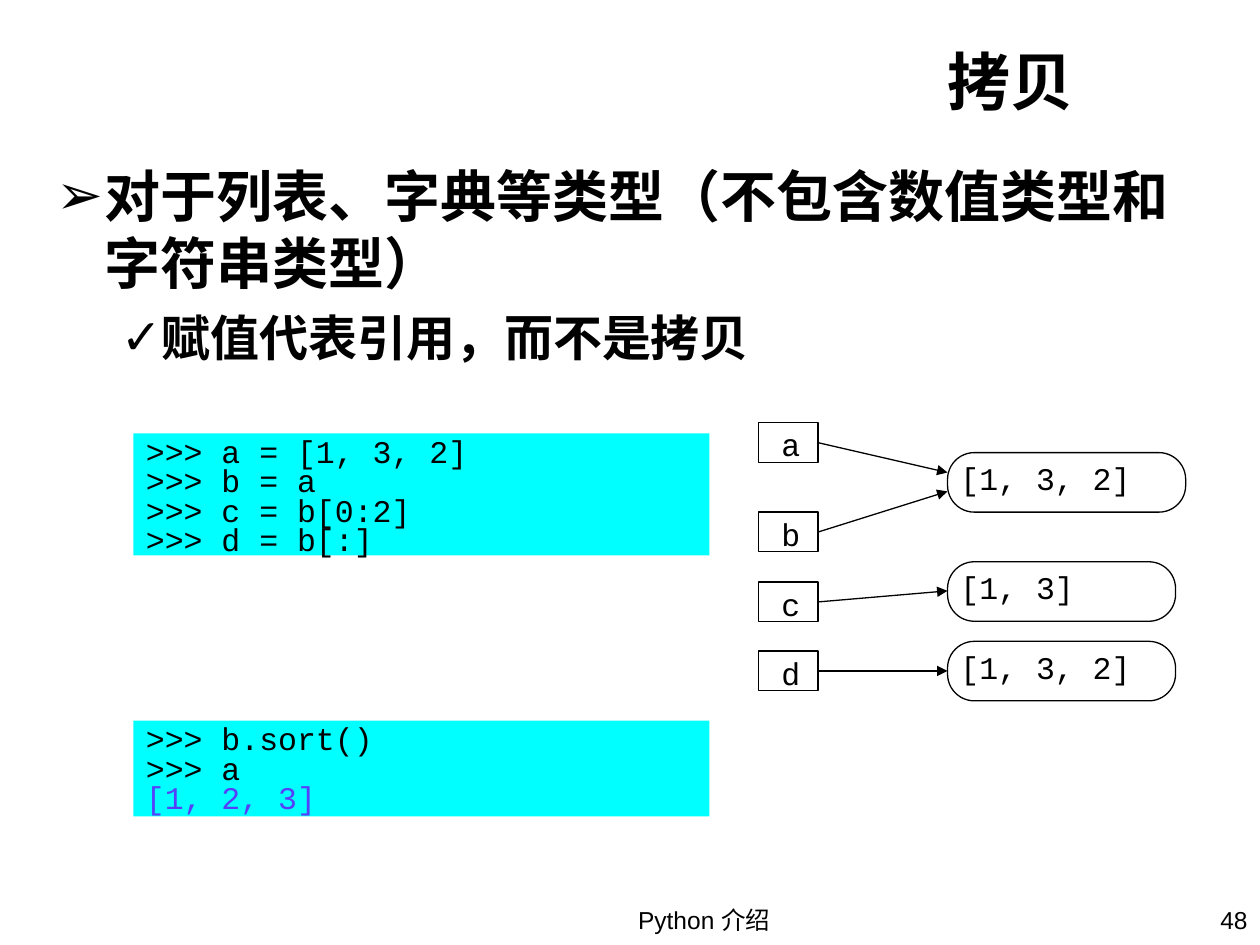
import pptx
import pptx.util
import pptx.dml.color
import pptx.enum.shapes
import pptx.enum.text
import pptx.oxml
import pptx.oxml.ns

In = pptx.util.Inches
Pt = pptx.util.Pt
ALIGN = pptx.enum.text.PP_ALIGN
ANCHOR = pptx.enum.text.MSO_ANCHOR
SHAPE = pptx.enum.shapes.MSO_SHAPE
WIDTH, HEIGHT = In(10), In(7.5)
BLACK, CYAN, VIOLET = "000000", "00FFFF", "553FFB"
MONO, SANS = "Courier New", "Arial"
LABEL_LEFT, LABEL_WIDTH, LABEL_HEIGHT = 60.23, 4.7, 4.2
VALUE_LEFT, VALUE_HEIGHT = 75.2, 6.3


def across(share):
    return round(WIDTH * share / 100)


def down(share):
    return round(HEIGHT * share / 100)


def place(left, top, width, height):
    return across(left), down(top), across(width), down(height)


def paint(color_format, value):
    color_format.rgb = pptx.dml.color.RGBColor.from_string(value)


def append_xml(parent, tag, attributes=""):
    ns = pptx.oxml.ns.nsdecls("a")
    parent.append(pptx.oxml.parse_xml(f"<a:{tag} {ns} {attributes}/>"))


def style(p, size, font=SANS, color=BLACK, bold=False):
    for r in p.runs:
        r.font.size = Pt(size)
        r.font.name = font
        r.font.bold = bold
        paint(r.font.color, color)


def add_text(s, box, text, size, align=ALIGN.LEFT, bold=False):
    sp = s.shapes.add_textbox(*place(*box))
    tf = sp.text_frame
    tf.word_wrap = True
    tf.text = text
    for p in tf.paragraphs:
        p.alignment = align
        style(p, size, bold=bold)
    return tf


def add_bullet(p, mark, level, left, hanging, before):
    p.level = level
    p.space_before = Pt(before)
    pPr = p._p.get_or_add_pPr()
    pPr.set("marL", str(In(left)))
    pPr.set("indent", str(-In(hanging)))
    append_xml(pPr, "buFont", f'typeface="{SANS}"')
    append_xml(pPr, "buChar", f'char="{mark}"')


def add_box(s, kind, box, text, spacing, insets, fill=None):
    sp = s.shapes.add_shape(kind, *place(*box))
    sp.shadow.inherit = False
    if fill:
        sp.fill.solid()
        paint(sp.fill.fore_color, fill)
        sp.line.fill.background()
    else:
        sp.fill.background()
        paint(sp.line.color, BLACK)
        sp.line.width = Pt(0.75)
    tf = sp.text_frame
    tf.word_wrap = True
    tf.vertical_anchor = ANCHOR.TOP
    tf.margin_left, tf.margin_top = map(In, insets)
    tf.margin_right = tf.margin_bottom = 0
    tf.text = text
    for p in tf.paragraphs:
        p.alignment = ALIGN.LEFT
        p.line_spacing = spacing
        p.space_before = Pt(8.8)
        style(p, 18, MONO)
    return sp


def add_code(s, top, height, lines):
    return add_box(s, SHAPE.RECTANGLE, (10.6, top, 45.7, height),
                   "\n".join(lines), 0.37, (0.1, 0.15), CYAN)


def add_label(s, top, name):
    add_box(s, SHAPE.RECTANGLE, (LABEL_LEFT, top, LABEL_WIDTH, LABEL_HEIGHT),
            name, 0.92, (0.18, 0.05))


def add_value(s, top, width, text):
    sp = add_box(s, SHAPE.ROUNDED_RECTANGLE,
                 (VALUE_LEFT, top, width, VALUE_HEIGHT),
                 text, 0.92, (0.04, 0.02))
    sp.adjustments[0] = 0.45


def add_arrow(s, label_top, end):
    line = s.shapes.add_connector(
        pptx.enum.shapes.MSO_CONNECTOR.STRAIGHT,
        across(LABEL_LEFT + LABEL_WIDTH), down(label_top + LABEL_HEIGHT / 2),
        across(VALUE_LEFT), down(end))
    paint(line.line.color, BLACK)
    line.line.width = Pt(0.75)
    append_xml(line.line._get_or_add_ln(), "tailEnd", 'type="triangle"')
    append_xml(line._element.spPr, "effectLst")


def add_body(s):
    tf = add_text(s, (3.5, 16.4, 92.1, 76.67),
                  "对于列表、字典等类型（不包含数值类型和字符串类型）\n"
                  "赋值代表引用，而不是拷贝", 32, bold=True)
    first, second = tf.paragraphs
    add_bullet(first, "➢", 0, 0.38, 0.38, 8)
    add_bullet(second, "✓", 1, 0.82, 0.31, 7)
    style(second, 28, bold=True)


def add_references(s):
    for name, top, end in (("a", 44.75, 50), ("b", 54.2, 52),
                           ("c", 61.6, 62.53), ("d", 68.9, 71)):
        add_label(s, top, name)
        add_arrow(s, top, end)
    for top, width, text in ((47.9, 18.9, "[1, 3, 2]"),
                             (59.45, 18.1, "[1, 3]"),
                             (67.87, 18.1, "[1, 3, 2]")):
        add_value(s, top, width, text)


def main():
    prs = pptx.Presentation()
    prs.slide_width, prs.slide_height = WIDTH, HEIGHT
    s = prs.slides.add_slide(prs.slide_layouts[6])
    title = add_text(s, (13.8, 2.7, 72.4, 11.6), "拷贝", 36, ALIGN.RIGHT, True)
    title.vertical_anchor = ANCHOR.MIDDLE
    add_body(s)
    add_code(s, 45.85, 12.93, (">>> a = [1, 3, 2]", ">>> b = a",
                               ">>> c = b[0:2]", ">>> d = b[:]"))
    result = add_code(s, 76.27, 10.13, (">>> b.sort()", ">>> a", "[1, 2, 3]"))
    style(result.text_frame.paragraphs[-1], 18, MONO, VIOLET)
    add_references(s)
    add_text(s, (83.9, 95.07, 16.1, 4.93), "48", 14, ALIGN.RIGHT)
    add_text(s, (46.05, 95.15, 19.7, 5.87), "Python 介绍", 14, ALIGN.CENTER)
    prs.save("out.pptx")


if __name__ == "__main__":
    main()
